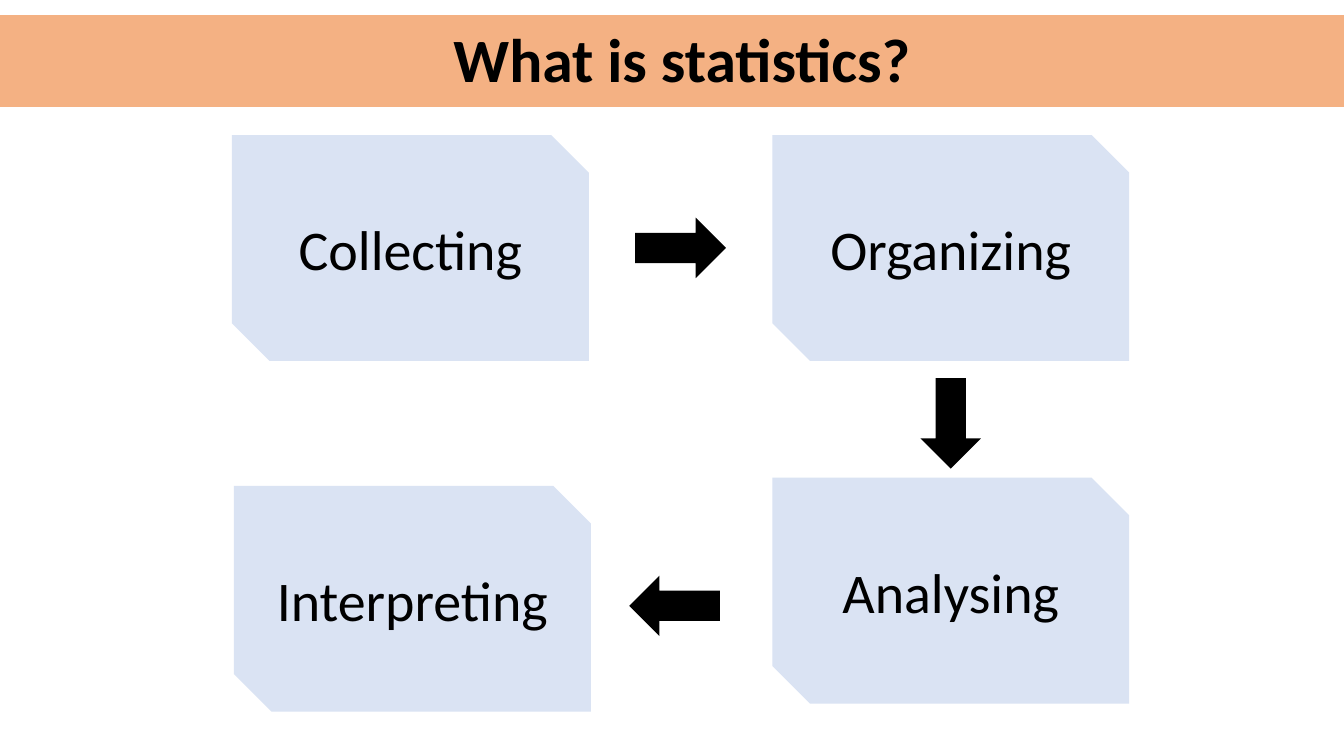
import dataclasses

import pptx
import pptx.dml.color
import pptx.enum.shapes
import pptx.enum.text
import pptx.util

SHAPES = pptx.enum.shapes.MSO_SHAPE
ALIGN = pptx.enum.text.PP_ALIGN
SLIDE_WIDTH = pptx.util.Inches(13.33)
SLIDE_HEIGHT = pptx.util.Inches(7.5)


@dataclasses.dataclass(frozen=True)
class Theme:
    font: str = "Calibri"
    band: str = "F4B183"
    card: str = "DAE3F3"
    ink: str = "000000"
    title_size: int = 44
    card_size: int = 40


THEME = Theme()
CARD_SIZE = (26.56, 29.87)
ARROW_SIZE = (6.75, 8)
LEFT_COLUMN, RIGHT_COLUMN = 30.53, 70.74
TOP_ROW = 32.8

STAGES = [
    ("Collecting", LEFT_COLUMN, TOP_ROW),
    ("Organizing", RIGHT_COLUMN, TOP_ROW),
    ("Analysing", RIGHT_COLUMN, 78.13),
    ("Interpreting", LEFT_COLUMN + 0.15, 79.2),
]
STEPS = [
    (50.64, TOP_ROW, 0),
    (RIGHT_COLUMN, 56, 90),
    (50.19, 80.13, 180),
]


def percent_box(left, top, width, height):
    return (
        round(SLIDE_WIDTH * left / 100),
        round(SLIDE_HEIGHT * top / 100),
        round(SLIDE_WIDTH * width / 100),
        round(SLIDE_HEIGHT * height / 100),
    )


def centred_box(x, y, size):
    width, height = size
    return percent_box(x - width / 2, y - height / 2, width, height)


def add_filled(slide, preset, box, colour):
    filled = slide.shapes.add_shape(preset, *box)
    filled.shadow.inherit = False
    filled.fill.solid()
    filled.fill.fore_color.rgb = pptx.dml.color.RGBColor.from_string(colour)
    filled.line.fill.background()
    return filled


def write(frame, wording, size, align, bold=False):
    frame.text = wording
    frame.word_wrap = True
    frame.vertical_anchor = pptx.enum.text.MSO_ANCHOR.MIDDLE
    line = frame.paragraphs[0]
    line.alignment = align
    font = line.runs[0].font
    font.name = THEME.font
    font.size = pptx.util.Pt(size)
    font.bold = bold
    font.color.rgb = pptx.dml.color.RGBColor.from_string(THEME.ink)


def add_title(slide, wording):
    add_filled(slide, SHAPES.RECTANGLE, percent_box(-1.95, 2, 104.35, 12.13), THEME.band)
    title = slide.shapes.add_textbox(*percent_box(33, 2.53, 63.77, 11.47))
    write(title.text_frame, wording, THEME.title_size, ALIGN.LEFT, bold=True)
    title.text_frame.paragraphs[0].line_spacing = 0.9


def add_stage(slide, wording, x, y):
    card = add_filled(
        slide, SHAPES.SNIP_2_DIAG_RECTANGLE, centred_box(x, y, CARD_SIZE), THEME.card
    )
    write(card.text_frame, wording, THEME.card_size, ALIGN.CENTER)


def add_step(slide, x, y, turn):
    arrow = add_filled(slide, SHAPES.RIGHT_ARROW, centred_box(x, y, ARROW_SIZE), THEME.ink)
    arrow.rotation = turn


def main():
    deck = pptx.Presentation()
    deck.slide_width = SLIDE_WIDTH
    deck.slide_height = SLIDE_HEIGHT
    slide = deck.slides.add_slide(deck.slide_layouts[6])
    add_title(slide, "What is statistics?")
    for stage in STAGES:
        add_stage(slide, *stage)
    for step in STEPS:
        add_step(slide, *step)
    deck.save("out.pptx")


if __name__ == "__main__":
    main()
